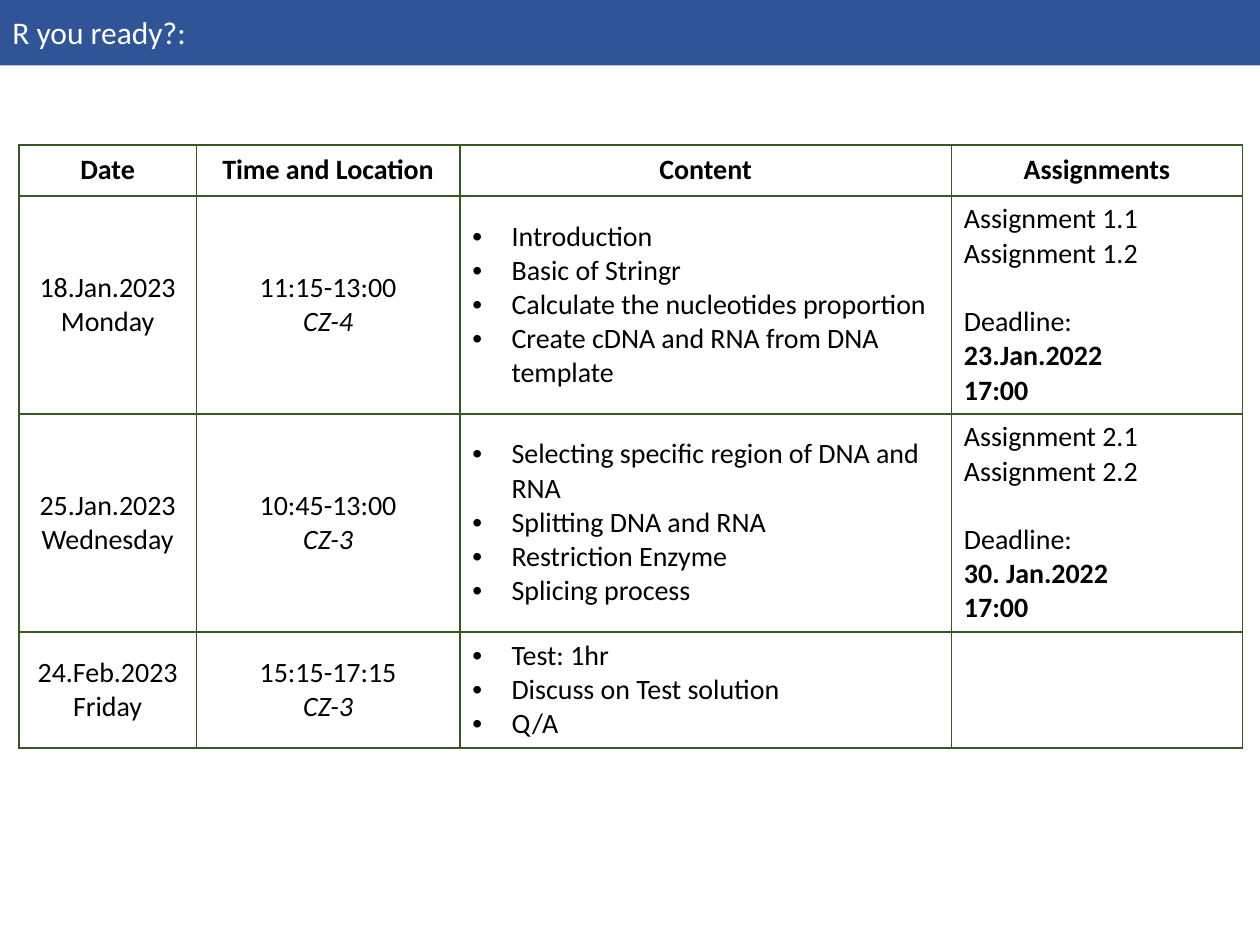
import pptx
import pptx.dml.color
import pptx.enum.shapes
import pptx.enum.text
import pptx.oxml
import pptx.oxml.ns
import pptx.util

Cm = pptx.util.Cm
Pt = pptx.util.Pt
RGBColor = pptx.dml.color.RGBColor
MIDDLE = pptx.enum.text.MSO_ANCHOR.MIDDLE
LEFT = pptx.enum.text.PP_ALIGN.LEFT
CENTER = pptx.enum.text.PP_ALIGN.CENTER

BLUE = RGBColor(0x2F, 0x55, 0x97)
GREEN = RGBColor(0x38, 0x57, 0x23)
BLACK = RGBColor(0, 0, 0)
WHITE = RGBColor(0xFF, 0xFF, 0xFF)
FONT = "Calibri"

COLUMN_WIDTHS = [3.58, 5.31, 9.91, 5.87]
ROW_HEIGHTS = [1.03, 4.39, 4.39, 2.34]
SCHEDULE = [
    ["Date", "Time and Location", "Content", "Assignments"],
    [
        "18.Jan.2023\nMonday",
        "11:15-13:00\nCZ-4",
        "Introduction\nBasic of Stringr\nCalculate the nucleotides proportion\n"
        "Create cDNA and RNA from DNA template",
        "Assignment 1.1\nAssignment 1.2\nDeadline:\n23.Jan.2022\n17:00",
    ],
    [
        "25.Jan.2023\nWednesday",
        "10:45-13:00\nCZ-3",
        "Selecting specific region of DNA and RNA\nSplitting DNA and RNA\n"
        "Restriction Enzyme\nSplicing process",
        "Assignment 2.1\nAssignment 2.2\nDeadline:\n30. Jan.2022\n17:00",
    ],
    [
        "24.Feb.2023\nFriday",
        "15:15-17:15\nCZ-3",
        "Test: 1hr\nDiscuss on Test solution\nQ/A",
        "",
    ],
]


def add_borders(cell):
    properties = cell._tc.get_or_add_tcPr()
    for position, side in enumerate(["lnL", "lnR", "lnT", "lnB"]):
        line = pptx.oxml.parse_xml(
            f'<a:{side} {pptx.oxml.ns.nsdecls("a")} w="{Pt(1)}">'
            f'<a:solidFill><a:srgbClr val="{GREEN}"/></a:solidFill></a:{side}>'
        )
        properties.insert(position, line)


def add_bullet(paragraph):
    properties = paragraph._p.get_or_add_pPr()
    properties.set("marL", str(Cm(0.79)))
    properties.set("indent", str(-Cm(0.79)))
    namespace = pptx.oxml.ns.nsdecls("a")
    properties.append(pptx.oxml.parse_xml(f'<a:buFont {namespace} typeface="Arial"/>'))
    properties.append(pptx.oxml.parse_xml(f'<a:buChar {namespace} char="•"/>'))


presentation = pptx.Presentation()
presentation.slide_width = Cm(25.4)
presentation.slide_height = Cm(19.05)
slide = presentation.slides.add_slide(presentation.slide_layouts[6])

table = slide.shapes.add_table(
    len(ROW_HEIGHTS), len(COLUMN_WIDTHS),
    Cm(0.38), Cm(2.92), Cm(sum(COLUMN_WIDTHS)), Cm(sum(ROW_HEIGHTS)),
).table
table.first_row = False
table.horz_banding = False
for column, width in zip(table.columns, COLUMN_WIDTHS):
    column.width = Cm(width)
for row, height in zip(table.rows, ROW_HEIGHTS):
    row.height = Cm(height)

for row_index, row_texts in enumerate(SCHEDULE):
    for column_index, text in enumerate(row_texts):
        cell = table.cell(row_index, column_index)
        cell.fill.solid()
        cell.fill.fore_color.rgb = WHITE
        cell.vertical_anchor = MIDDLE
        add_borders(cell)
        cell.text_frame.text = text
        is_header = row_index == 0
        for line_index, paragraph in enumerate(cell.text_frame.paragraphs):
            paragraph.alignment = CENTER if is_header or column_index < 2 else LEFT
            if column_index == 2 and not is_header:
                add_bullet(paragraph)
            if paragraph.text == "Deadline:":
                paragraph.space_before = Pt(19.5)
            for run in paragraph.runs:
                run.font.name = FONT
                run.font.size = Pt(16)
                run.font.color.rgb = BLACK
                run.font.bold = is_header or (column_index == 3 and line_index > 2)
                run.font.italic = column_index == 1 and line_index == 1

title_bar = slide.shapes.add_shape(
    pptx.enum.shapes.MSO_SHAPE.RECTANGLE, Cm(0), Cm(-0.05), Cm(25.4), Cm(1.37)
)
title_bar.shadow.inherit = False
title_bar.fill.solid()
title_bar.fill.fore_color.rgb = BLUE
title_bar.line.fill.background()
title_bar.text_frame.text = "R you ready?:"
title_bar.text_frame.vertical_anchor = MIDDLE
title = title_bar.text_frame.paragraphs[0]
title.alignment = LEFT
title_font = title.runs[0].font
title_font.name = FONT
title_font.size = Pt(18)
title_font.color.rgb = WHITE

presentation.save("out.pptx")
